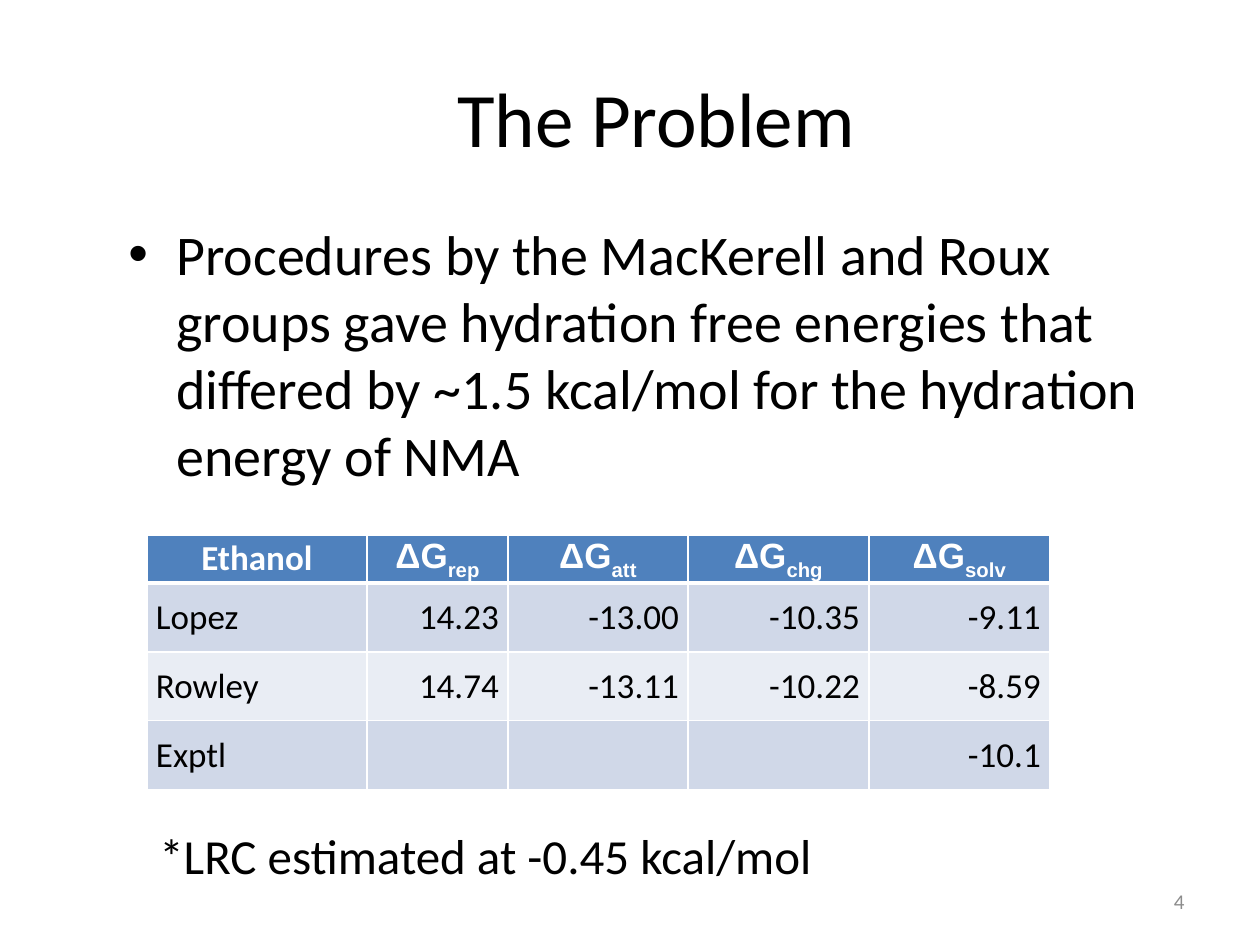
import pptx
import pptx.util
import pptx.dml.color
import pptx.enum.text
import pptx.oxml
import pptx.oxml.ns
from lxml import etree

PX = 914400 / 126
INK = {"black": "000000", "white": "FFFFFF", "gray": "8C8C8C",
       "head": "4F81BD", "dark": "D0D8E8", "light": "E9EDF4"}
ALIGN = pptx.enum.text.PP_ALIGN
MID = pptx.enum.text.MSO_ANCHOR.MIDDLE
TOP = pptx.enum.text.MSO_ANCHOR.TOP
qn = pptx.oxml.ns.qn


def px(num):
    return pptx.util.Emu(round(num * PX))


def write(frame, text, size=20, font="Calibri", color="black", bold=False,
          align=ALIGN.LEFT, anchor=TOP, sub="", bullet=False):
    frame.word_wrap = True
    frame.vertical_anchor = anchor
    para = frame.paragraphs[0]
    para.alignment = align
    if bullet:
        props = para._p.get_or_add_pPr()
        props.set("marL", str(px(48)))
        props.set("indent", str(-px(48)))
        etree.SubElement(props, qn("a:buFont")).set("typeface", "Arial")
        etree.SubElement(props, qn("a:buChar")).set("char", "•")
    for part, base in ((text, 0), (sub, -25000)):
        if part:
            run = para.add_run()
            run.text = part
            run.font.size = pptx.util.Pt(size)
            run.font.name = font
            run.font.bold = bold
            run.font.color.rgb = pptx.dml.color.RGBColor.from_string(INK[color])
            if base:
                run._r.get_or_add_rPr().set("baseline", str(base))


deck = pptx.Presentation()
deck.slide_width, deck.slide_height = px(1260), px(945)
slide = deck.slides.add_slide(deck.slide_layouts[6])

# Title, body, page number and note
boxes = [
    ((116, 38, 1081, 158), "The Problem",
     dict(size=44, align=ALIGN.CENTER, anchor=MID)),
    ((116, 213, 1081, 630),
     "Procedures by the MacKerell and Roux groups gave hydration free energies "
     "that differed by ~1.5 kcal/mol for the hydration energy of NMA",
     dict(size=32, bullet=True)),
    ((903, 876, 294, 50), "4",
     dict(size=12, color="gray", align=ALIGN.RIGHT, anchor=MID)),
    ((147, 819, 851, 63), "*LRC estimated at -0.45 kcal/mol", dict(size=28)),
]
for place, text, form in boxes:
    box = slide.shapes.add_textbox(*map(px, place))
    write(box.text_frame, text, **form)

# Energy table
heads = ["Ethanol", "rep", "att", "chg", "solv"]
rows = [heads,
        ["Lopez", "14.23", "-13.00", "-10.35", "-9.11"],
        ["Rowley", "14.74", "-13.11", "-10.22", "-8.59"],
        ["Exptl", "", "", "", "-10.1"]]
wide = [220, 141, 180, 181, 181]
high = [45, 69, 69, 69]
grid = slide.shapes.add_table(len(rows), len(wide), px(147), px(535),
                              px(sum(wide)), px(sum(high))).table
for col, width in zip(grid.columns, wide):
    col.width = px(width)
for row, height in zip(grid.rows, high):
    row.height = px(height)

for r, row in enumerate(rows):
    for c, text in enumerate(row):
        cell = grid.cell(r, c)
        cell.margin_left = cell.margin_right = px(9)
        cell.margin_top = cell.margin_bottom = 0
        cell.vertical_anchor = MID
        tone = "head" if r == 0 else "dark" if r % 2 else "light"
        cell.fill.solid()
        cell.fill.fore_color.rgb = pptx.dml.color.RGBColor.from_string(INK[tone])

        # White borders, thick under the header
        props = cell._tc.get_or_add_tcPr()
        for i, side in enumerate(("lnL", "lnR", "lnT", "lnB")):
            thick = (r, side) in ((0, "lnB"), (1, "lnT"))
            line = etree.Element(qn("a:" + side), w=str(pptx.util.Pt(3 if thick else 1)))
            fill = etree.SubElement(line, qn("a:solidFill"))
            etree.SubElement(fill, qn("a:srgbClr")).set("val", INK["white"])
            props.insert(i, line)

        # Cell text
        form = dict(anchor=MID)
        if r == 0:
            form.update(color="white", bold=True, align=ALIGN.CENTER)
            if c:
                form.update(font="Arial", sub=text)
                text = "ΔG"
        elif c:
            form.update(align=ALIGN.RIGHT)
        if text:
            write(cell.text_frame, text, **form)

deck.save("out.pptx")
